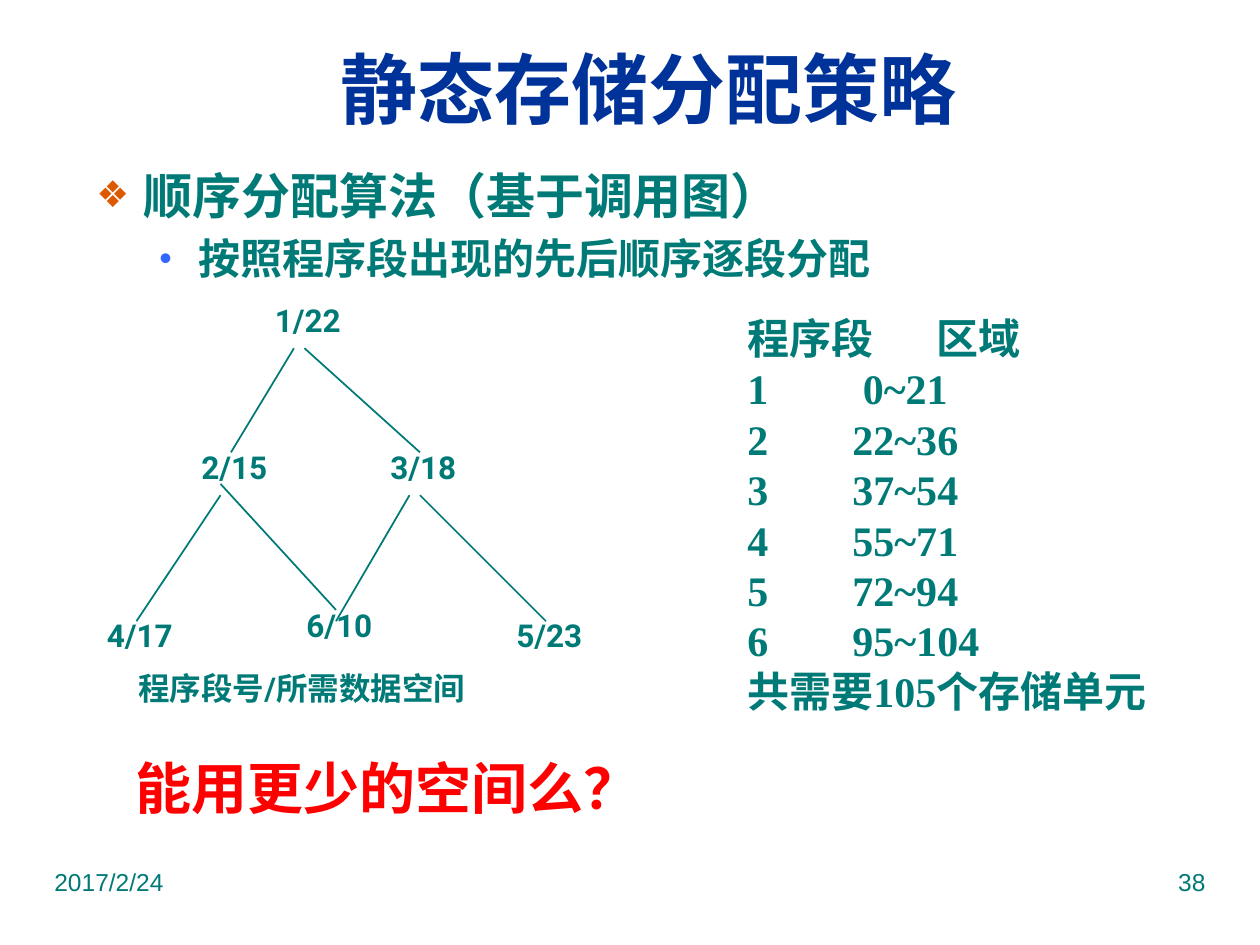
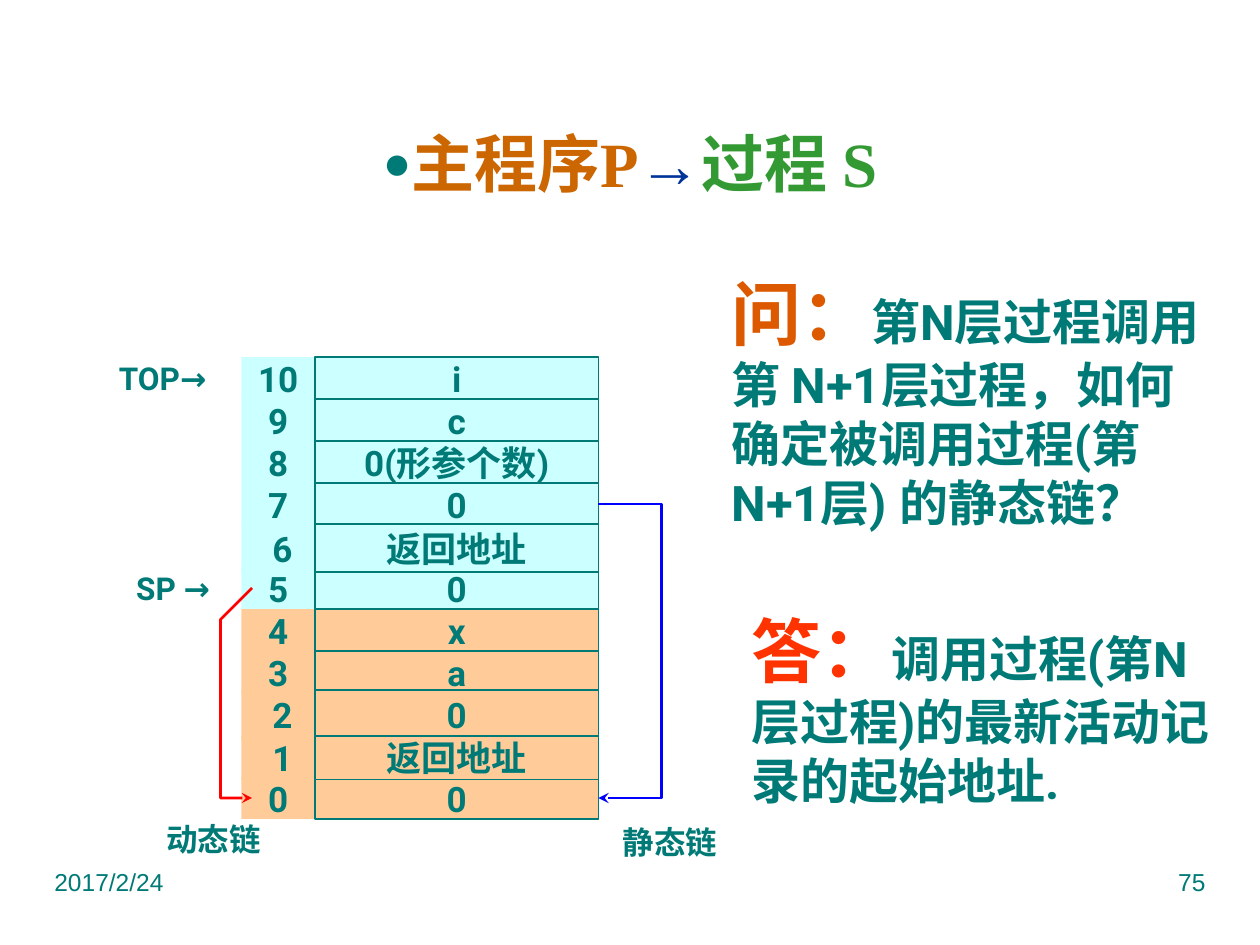
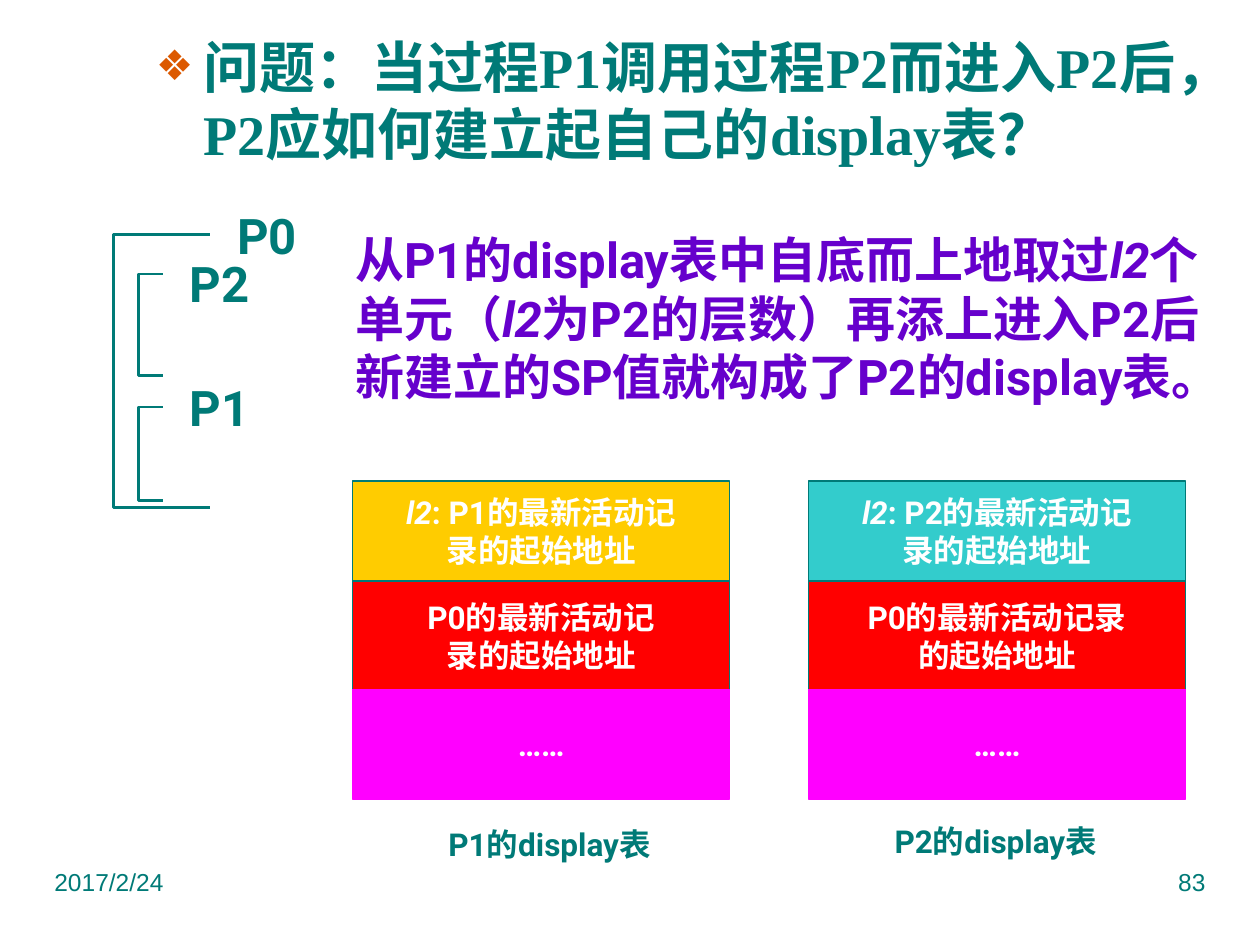
from lxml.etree import SubElement
from pptx import Presentation
from pptx.dml.color import RGBColor
from pptx.enum.shapes import MSO_CONNECTOR, MSO_SHAPE
from pptx.enum.text import MSO_ANCHOR, PP_ALIGN
from pptx.oxml.ns import qn
from pptx.util import Pt

TEAL = RGBColor(0x00, 0x7A, 0x77)
NAVY = RGBColor(0x00, 0x33, 0x99)
RUST = RGBColor(0xDC, 0x59, 0x00)
AZURE = RGBColor(0x33, 0x66, 0xFF)
RED = RGBColor(0xFF, 0x00, 0x00)
BLUE = RGBColor(0x00, 0x00, 0xFF)
OCHRE = RGBColor(0xCC, 0x66, 0x00)
GREEN = RGBColor(0x33, 0x99, 0x33)
VERMILION = RGBColor(0xFF, 0x33, 0x00)
PURPLE = RGBColor(0x66, 0x00, 0xCC)
PEACH = RGBColor(0xFF, 0xCC, 0x99)
ICE = RGBColor(0xCC, 0xFF, 0xFF)
GOLD = RGBColor(0xFF, 0xCC, 0x00)
TURQUOISE = RGBColor(0x33, 0xCC, 0xCC)
MAGENTA = RGBColor(0xFF, 0x00, 0xFF)
WHITE = RGBColor(0xFF, 0xFF, 0xFF)

SERIF = "Times New Roman"
LABEL = {"name": "Roboto", "size": Pt(18), "bold": True, "color": TEAL}
LARGE = LABEL | {"size": Pt(28)}
CELL = LABEL | {"size": Pt(20)}
BODY = LABEL | {"name": SERIF, "size": Pt(28)}
TITLE = BODY | {"size": Pt(44), "color": NAVY}
FOOTER = {"name": "Arial", "size": Pt(14), "color": TEAL}
ITALIC = {"italic": True}

DIAMOND = {"mark": "❖", "color": RUST, "percent": 75}
DOT = {"mark": "•", "color": AZURE, "percent": 85}
DISC = {"mark": "●", "color": TEAL, "percent": 75}


class Deck:
    """Holds the presentation, its style and the page being filled."""

    def __init__(self):
        self.file = Presentation()
        self.file.slide_width, self.file.slide_height = Pt(720), Pt(540)
        self.page = None

    def new_page(self, number):
        self.page = self.file.slides.add_slide(self.file.slide_layouts[6])
        self.text(24, 492, 180, 37, ["2017/2/24"], FOOTER)
        self.text(516, 492, 180, 37, [number], FOOTER, align=PP_ALIGN.RIGHT)

    def text(self, left, top, width, height, paras, style, **layout):
        box = self.page.shapes.add_textbox(Pt(left), Pt(top), Pt(width), Pt(height))
        self.fill_frame(box.text_frame, paras, style, **layout)

    def label(self, left, top, width, height, words, style=LABEL):
        """Add one centred line that may run past its box."""
        self.text(left, top, width, height, [words], style, align=PP_ALIGN.CENTER,
                  anchor=MSO_ANCHOR.MIDDLE, wrap=False)

    def fill_frame(self, frame, paras, style, align=PP_ALIGN.LEFT,
                   anchor=MSO_ANCHOR.TOP, wrap=True, inset=3.6):
        """Write paras, each a string, a list of spans, or a dict with spans and layout."""
        settings = {"word_wrap": wrap, "vertical_anchor": anchor,
                    "margin_top": Pt(inset), "margin_bottom": Pt(inset)}
        for name, value in settings.items():
            setattr(frame, name, value)
        for index, entry in enumerate(paras):
            para = frame.paragraphs[0] if index == 0 else frame.add_paragraph()
            para.alignment = align
            entry = entry if isinstance(entry, dict) else {"spans": entry}
            self.lay_out(para, **{key: entry[key] for key in entry if key != "spans"})
            spans = entry["spans"]
            for words, change in [(spans, {})] if isinstance(spans, str) else spans:
                self.add_span(para, words, style | change)

    def add_span(self, para, words, style):
        span = para.add_run()
        span.text = words
        for name, value in style.items():
            if name == "color":
                span.font.color.rgb = value
            else:
                setattr(span.font, name, value)

    def lay_out(self, para, bullet=None, numbered=False, indent=0, hanging=0,
                level=0, before=None, tab=None):
        para.level = level
        if before:
            para.space_before = Pt(before)
        props = para._p.get_or_add_pPr()
        props.set("marL", str(Pt(indent)))
        props.set("indent", str(-Pt(hanging)))
        if bullet:
            color = SubElement(props, qn("a:buClr"))
            SubElement(color, qn("a:srgbClr"), val=str(bullet["color"]))
            SubElement(props, qn("a:buSzPct"), val=str(bullet["percent"] * 1000))
            SubElement(props, qn("a:buFont"), typeface="Arial")
            SubElement(props, qn("a:buChar"), char=bullet["mark"])
        elif numbered:
            SubElement(props, qn("a:buAutoNum"), type="arabicPlain")
        else:
            SubElement(props, qn("a:buNone"))
        if tab:
            stops = SubElement(props, qn("a:tabLst"))
            SubElement(stops, qn("a:tab"), pos=str(Pt(tab)), algn="l")

    def block(self, left, top, width, height, paras, style, fill, outline=None, inset=3.6):
        block = self.page.shapes.add_shape(
            MSO_SHAPE.RECTANGLE, Pt(left), Pt(top), Pt(width), Pt(height))
        block.shadow.inherit = False
        block.fill.solid()
        block.fill.fore_color.rgb = fill
        if outline is None:
            block.line.fill.background()
        else:
            block.line.color.rgb = outline
            block.line.width = Pt(1)
        self.fill_frame(block.text_frame, paras, style, align=PP_ALIGN.CENTER,
                        anchor=MSO_ANCHOR.MIDDLE, wrap=False, inset=inset)

    def line(self, start, end):
        line = self.page.shapes.add_connector(
            MSO_CONNECTOR.STRAIGHT, *(Pt(value) for value in start + end))
        line.line.color.rgb = TEAL
        line.line.width = Pt(1)
        SubElement(line._element.spPr, qn("a:effectLst"))

    def path_line(self, points, color=TEAL, arrow=False):
        start, *rest = [(Pt(x), Pt(y)) for x, y in points]
        builder = self.page.shapes.build_freeform(*start)
        builder.add_line_segments(rest, close=False)
        outline = builder.convert_to_shape()
        outline.shadow.inherit = False
        outline.fill.background()
        outline.line.color.rgb = color
        outline.line.width = Pt(1.5)
        if arrow:
            SubElement(outline._element.spPr.find(qn("a:ln")), qn("a:tailEnd"), type="stealth")

    def bracket(self, left, right, top, bottom, **look):
        """Draw a three-sided line that opens at the x called right."""
        self.path_line([(right, top), (left, top), (left, bottom), (right, bottom)], **look)


def build_allocation_page(deck):
    deck.new_page("38")
    deck.text(64.8, 20, 612, 60, ["静态存储分配策略"], TITLE,
              align=PP_ALIGN.CENTER, anchor=MSO_ANCHOR.MIDDLE)
    deck.text(48, 91, 641.5, 84, [
        {"spans": "顺序分配算法（基于调用图）", "bullet": DIAMOND, "indent": 27, "hanging": 27},
        {"spans": [("按照程序段出现的先后顺序逐段分配", {"size": Pt(24)})], "bullet": DOT,
         "indent": 58.5, "hanging": 22.5, "level": 1, "before": 4.8},
    ], BODY)

    nodes = [("1/22", 150, 168.5), ("2/15", 108, 252.5), ("3/18", 216, 252.5),
             ("4/17", 54, 348.5), ("6/10", 168, 342.5), ("5/23", 288, 348.5)]
    for words, left, top in nodes:
        deck.text(left, top, 72, 36, [words], LABEL)
    edges = [((168, 199), (132, 258.5)), ((174, 199), (240, 258.5)),
             ((126, 283), (78, 355)), ((126, 276.5), (192, 348.5)),
             ((234, 283), (192, 355)), ((240, 283), (312, 355))]
    for start, end in edges:
        deck.line(start, end)

    ranges = ["0~21", "22~36", "37~54", "55~71", "72~94", "95~104"]
    rows = [{"spans": words, "numbered": True, "indent": indent, "hanging": indent}
            for words, indent in zip(ranges, [66] + [60] * 5)]
    note = {"indent": 36, "hanging": 36}
    deck.text(420, 175, 258, 237.5, [
        {"spans": "程序段\t区域", "tab": 83} | note, *rows,
        {"spans": "共需要105个存储单元"} | note,
    ], BODY | {"size": Pt(24)})
    deck.text(72, 378.5, 276, 36, ["程序段号/所需数据空间"], LABEL)
    deck.text(70.5, 427, 363.5, 45.5, ["能用更少的空间么？"],
              LABEL | {"size": Pt(32), "color": RED})


def build_stack_page(deck):
    deck.new_page("75")
    deck.text(24, 48, 672, 90, [{"bullet": DISC, "spans": [
        ("主程序P", {"color": OCHRE}), ("→", {}), ("过程 S", {"color": GREEN})]}],
        TITLE | {"size": Pt(36)}, align=PP_ALIGN.CENTER, anchor=MSO_ANCHOR.MIDDLE)

    pitch, first = 24, 204
    cells = {10: "i", 9: "c", 8: "0(形参个数)", 7: "0", 5: "0", 4: "x", 3: "a", 0: "0"}
    rows = [(index, words, first + pitch * (10 - index), pitch, 42)
            for index, words in cells.items()]
    # The taller rows overlap their neighbours, so they come last.
    rows += [(2, "0", 394.5, 28, 47), (1, "返回地址", 420.5, 25, 47),
             (6, "返回地址", 299.5, 27.5, 47)]
    for index, words, top, height, width in rows:
        fill = ICE if index >= 5 else PEACH
        deck.block(138, top, width, height, [str(index)], CELL, fill, inset=0)
        deck.block(180, top, 162, height, [words], CELL, fill, TEAL, inset=0)

    for words, left, top in [("SP →", 48, 324), ("TOP→", 42, 204),
                             ("动态链", 71, 467.5), ("静态链", 332, 469)]:
        deck.label(left, top, 102, 24, words)
    deck.path_line([(144, 336), (126, 354), (126, 456), (144, 456)], RED, arrow=True)
    deck.bracket(378, 342, 288, 456, color=BLUE, arrow=True)

    answers = [
        (411, 151, 289.5, "问：", RUST,
         "第N层过程调用第 N+1层过程，如何确定被调用过程(第 N+1层) 的静态链？"),
        (422.5, 343.5, 278, "答：", VERMILION,
         "调用过程(第N层过程)的最新活动记录的起始地址."),
    ]
    for left, top, width, lead, color, words in answers:
        deck.text(left, top, width, 140,
                  [[(lead, {"size": Pt(40), "color": color}), (words, {})]], LARGE)


def build_display_page(deck):
    deck.new_page("83")
    deck.text(82, 15, 624, 90, [{
        "spans": "问题：当过程P1调用过程P2而进入P2后，P2应如何建立起自己的display表？",
        "bullet": DIAMOND, "indent": 27, "hanging": 27}], BODY | {"size": Pt(32)})

    for left, right, top, bottom in [(65, 120, 134, 290), (79, 93, 156.5, 214.5),
                                     (79, 93, 232.5, 286)]:
        deck.bracket(left, right, top, bottom)
    for words, left, top in [("P0", 120, 116), ("P1", 93, 214.5), ("P2", 93, 143.5)]:
        deck.label(left, top, 65, 36, words, LARGE)

    tables = [("P1", 201.5, GOLD, ["P0的最新活动记", "录的起始地址"], 232.5, 468),
              ("P2", 462, TURQUOISE, ["P0的最新活动记录", "的起始地址"], 487.5, 466)]
    white = LABEL | {"color": WHITE}
    for name, left, fill, outer, caption_left, caption_top in tables:
        newest = [[("l2", ITALIC), (f": {name}的最新活动记", {})], "录的起始地址"]
        deck.block(left, 275, 215.5, 57, newest, white, fill, TEAL)
        deck.block(left, 332, 215.5, 62.5, outer, white, RED, TEAL)
        deck.block(left, 394, 215.5, 62.5, ["……"], white, MAGENTA, MAGENTA)
        deck.text(caption_left, caption_top, 163, 36, [f"{name}的display表"], LABEL,
                  align=PP_ALIGN.CENTER, wrap=False)

    deck.text(196, 127.5, 510.5, 108, [[
        ("从P1的display表中自底而上地取过", {}), ("l2", ITALIC), ("个单元（", {}), ("l2", ITALIC),
        ("为P2的层数）再添上进入P2后新建立的SP值就构成了P2的display表。", {}),
    ]], LARGE | {"color": PURPLE})


def main():
    deck = Deck()
    build_allocation_page(deck)
    build_stack_page(deck)
    build_display_page(deck)
    deck.file.save("out.pptx")


if __name__ == "__main__":
    main()
